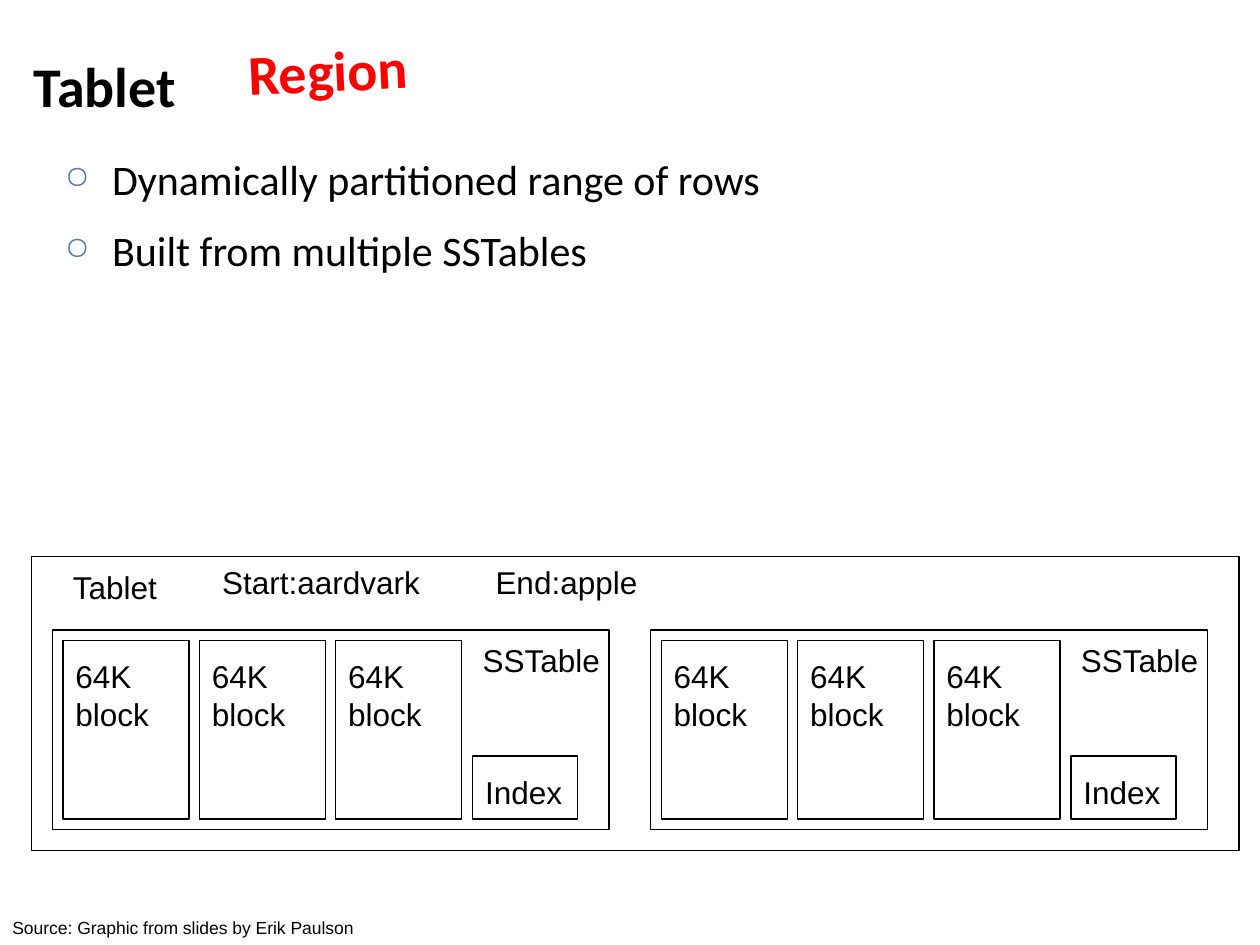
from dataclasses import dataclass

from lxml.etree import SubElement
from pptx import Presentation
from pptx.dml.color import RGBColor
from pptx.enum.shapes import MSO_SHAPE
from pptx.enum.text import MSO_ANCHOR, MSO_AUTO_SIZE
from pptx.oxml.ns import qn
from pptx.slide import Slide
from pptx.text.text import TextFrame
from pptx.util import Cm, Pt

BLACK = "000000"
RED = "FF0000"
BULLET_BLUE = "5675A9"
BLOCK_PITCH = 2.75
BLOCK_COUNT = 3
SSTABLE_LEFTS = (1.06, 13.12)
SSTABLE_TOP = 12.7


@dataclass(frozen=True)
class Box:
    left: float
    top: float
    width: float
    height: float

    def lengths(self) -> tuple[Cm, Cm, Cm, Cm]:
        return Cm(self.left), Cm(self.top), Cm(self.width), Cm(self.height)


@dataclass(frozen=True)
class TextStyle:
    size: int = 18
    font: str = "Arial"
    color: str = BLACK
    bold: bool = False


LABEL = TextStyle()
TITLE = TextStyle(32, "Calibri", bold=True)
BODY = TextStyle(24, "Calibri")
ANNOTATION = TextStyle(32, "Calibri", RED, True)
CREDIT = TextStyle(10)


def rgb(color: str) -> RGBColor:
    return RGBColor.from_string(color)


def add_frame(slide: Slide, box: Box) -> None:
    shape = slide.shapes.add_shape(MSO_SHAPE.RECTANGLE, *box.lengths())
    shape.shadow.inherit = False
    shape.fill.background()
    shape.line.color.rgb = rgb(BLACK)
    shape.line.width = Pt(0.75)


def add_text(
    slide: Slide,
    box: Box,
    text: str,
    style: TextStyle = LABEL,
    wrap: bool = True,
    grow: bool = True,
    rotation: float = 0,
) -> TextFrame:
    shape = slide.shapes.add_textbox(*box.lengths())
    shape.rotation = rotation
    text_frame = shape.text_frame
    text_frame.text = text
    text_frame.word_wrap = wrap
    if grow:
        text_frame.auto_size = MSO_AUTO_SIZE.SHAPE_TO_FIT_TEXT
    for paragraph in text_frame.paragraphs:
        for run in paragraph.runs:
            run.font.size = Pt(style.size)
            run.font.name = style.font
            run.font.bold = style.bold
            run.font.color.rgb = rgb(style.color)
    return text_frame


def add_bullets(text_frame: TextFrame) -> None:
    for index, paragraph in enumerate(text_frame.paragraphs):
        paragraph.space_before = Pt(6 if index else 0)
        paragraph.space_after = Pt(6)
        properties = paragraph._p.get_or_add_pPr()
        properties.set("marL", str(Cm(0.95)))
        properties.set("indent", str(-Cm(0.95)))
        bullet_color = SubElement(properties, qn("a:buClr"))
        SubElement(bullet_color, qn("a:srgbClr"), val=BULLET_BLUE)
        SubElement(properties, qn("a:buSzPct"), val="75000")
        SubElement(properties, qn("a:buChar"), char="○")


def add_sstable(slide: Slide, left: float) -> None:
    top = SSTABLE_TOP
    add_frame(slide, Box(left, top, 11.22, 4.02))
    for index in range(BLOCK_COUNT):
        block_left = left + 0.21 + index * BLOCK_PITCH
        add_frame(slide, Box(block_left, top + 0.21, 2.54, 3.6))
        add_text(slide, Box(block_left, top + 0.42, 2.33, 1.78), "64K block")
    index_left = left + 8.47
    add_frame(slide, Box(index_left, top + 2.54, 2.12, 1.27))
    add_text(slide, Box(index_left, top + 2.75, 2.06, 1.02), "Index", wrap=False)
    add_text(slide, Box(left + 8.42, top + 0.1, 2.95, 1.02), "SSTable", wrap=False)


def main() -> None:
    presentation = Presentation()
    presentation.slide_width = Cm(25.4)
    presentation.slide_height = Cm(19.05)
    slide = presentation.slides.add_slide(presentation.slide_layouts[6])

    title = add_text(slide, Box(0.43, 0.3, 24.13, 2.84), "Tablet", TITLE, grow=False)
    title.vertical_anchor = MSO_ANCHOR.MIDDLE
    body = add_text(
        slide,
        Box(1.06, 2.97, 23.5, 14.17),
        "Dynamically partitioned range of rows\nBuilt from multiple SSTables",
        BODY,
        grow=False,
    )
    add_bullets(body)

    for left in SSTABLE_LEFTS:
        add_sstable(slide, left)

    add_frame(slide, Box(0.64, 11.22, 24.34, 5.93))
    add_text(slide, Box(1.22, 11.33, 2.29, 1.02), "Tablet", wrap=False)
    add_text(slide, Box(4.23, 11.22, 5.08, 1.02), "Start:aardvark")
    add_text(slide, Box(9.74, 11.22, 3.81, 1.02), "End:apple")
    add_text(
        slide,
        Box(0, 18.37, 9.1, 0.68),
        "Source: Graphic from slides by Erik Paulson",
        CREDIT,
    )
    add_text(
        slide,
        Box(4.75, 0.58, 4.47, 1.63),
        "Region",
        ANNOTATION,
        wrap=False,
        rotation=357.2,
    )

    presentation.save("out.pptx")


if __name__ == "__main__":
    main()
